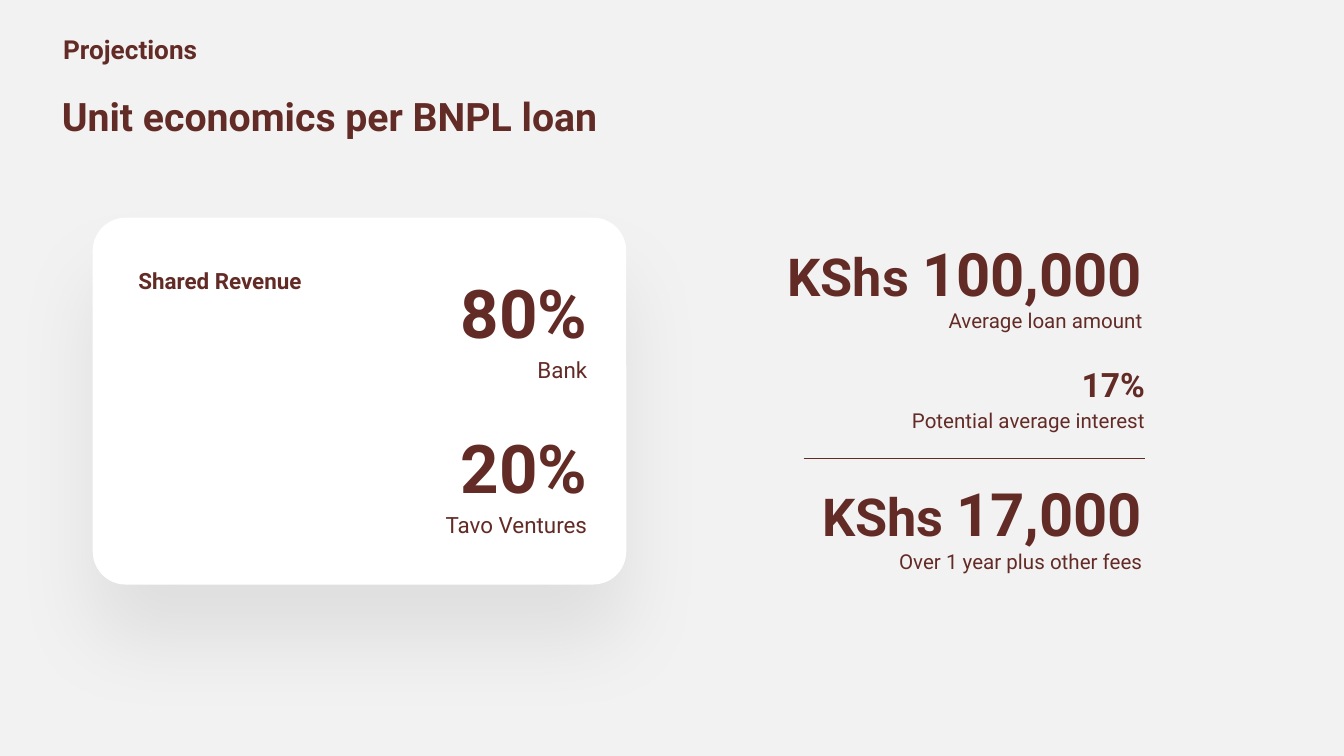
from lxml.etree import SubElement
from pptx import Presentation
from pptx.dml.color import RGBColor
from pptx.enum.shapes import MSO_CONNECTOR, MSO_SHAPE
from pptx.enum.text import MSO_ANCHOR, MSO_AUTO_SIZE, PP_ALIGN
from pptx.oxml.ns import qn
from pptx.util import Inches, Pt

COLORS = {"background": "F2F2F2", "text": "632B26", "card": "FFFFFF", "shadow": "000000"}
FONT = "Roboto"
TITLE_ONLY = 5


def color(name):
    return RGBColor.from_string(COLORS[name])


def write_text(box, lines, align=PP_ALIGN.LEFT, margins=(0.04, 0.04),
               line_spacing=1.0, gaps=None):
    """Each line is a list of (text, size, bold); gaps maps line index to space before."""
    frame = box.text_frame
    frame.word_wrap = True
    frame.auto_size = MSO_AUTO_SIZE.NONE
    frame.vertical_anchor = MSO_ANCHOR.TOP
    frame.margin_left = frame.margin_right = Inches(margins[0])
    frame.margin_top = frame.margin_bottom = Inches(margins[1])
    for index, line in enumerate(lines):
        para = frame.add_paragraph() if index else frame.paragraphs[0]
        para.alignment = align
        para.line_spacing = line_spacing
        para.space_before = Pt((gaps or {}).get(index, 0))
        for text, size, bold in line:
            span = para.add_run()
            span.text = text
            span.font.name = FONT
            span.font.size = Pt(size)
            span.font.bold = bold
            span.font.color.rgb = color("text")


def add_text(page, position, lines, **formatting):
    box = page.shapes.add_textbox(*map(Inches, position))
    write_text(box, lines, **formatting)


def add_title(page, position, text):
    title = page.shapes.title
    title.left, title.top, title.width, title.height = map(Inches, position)
    write_text(title, [[(text, 21, True)]])


def add_amount(page, top, amount, caption):
    add_text(page, (5.71, top, 2.89, 0.82),
             [[("KShs ", 28, True), (amount, 32, True)], [(caption, 11, False)]],
             align=PP_ALIGN.RIGHT, margins=(0.1, 0.05))


def add_card(page, position):
    card = page.shapes.add_shape(MSO_SHAPE.ROUNDED_RECTANGLE, *map(Inches, position))
    card.adjustments[0] = 0.09
    card.fill.solid()
    card.fill.fore_color.rgb = color("card")
    card.line.fill.background()
    # Soft shadow falling straight down
    card.shadow.inherit = False
    effects = card.element.spPr.find(qn("a:effectLst"))
    shadow = SubElement(effects, qn("a:outerShdw"), blurRad=str(Pt(45)), dist=str(Pt(30.7)),
                        dir="5400000", algn="t", rotWithShape="0")
    tint = SubElement(shadow, qn("a:srgbClr"), val=COLORS["shadow"])
    SubElement(tint, qn("a:alpha"), val="7000")


def add_rule(page, left, right, top):
    rule = page.shapes.add_connector(MSO_CONNECTOR.STRAIGHT, Inches(left), Inches(top),
                                     Inches(right), Inches(top))
    rule.line.color.rgb = color("text")
    rule.line.width = Pt(0.75)
    SubElement(rule.element.spPr, qn("a:effectLst"))


def main():
    deck = Presentation()
    # Widescreen, 16:9
    deck.slide_width = Inches(10)
    deck.slide_height = deck.slide_width * 9 // 16
    page = deck.slides.add_slide(deck.slide_layouts[TITLE_ONLY])
    page.background.fill.solid()
    page.background.fill.fore_color.rgb = color("background")

    # Headings
    add_title(page, (0.42, 0.65, 7.84, 0.43), "Unit economics per BNPL loan")
    add_text(page, (0.43, 0.21, 4.36, 0.31), [[("Projections", 14, True)]])

    # Shared revenue card
    add_card(page, (0.69, 1.62, 3.97, 2.73))
    add_text(page, (0.9, 1.9, 3.5, 2.15),
             [[("80%", 36, True)], [("Bank", 12, False)],
              [("20%", 36, True)], [("Tavo Ventures", 12, False)]],
             align=PP_ALIGN.RIGHT, margins=(0.03, 0.03), line_spacing=1.15, gaps={2: 17})
    add_text(page, (1.03, 1.99, 1.27, 0.4), [[("Shared Revenue", 12, True)]], margins=(0, 0))

    # Loan calculation
    add_amount(page, 1.71, "100,000", "Average loan amount")
    add_text(page, (6.59, 2.63, 1.96, 0.62),
             [[("17%", 18, True)], [("Potential average interest", 11, False)]],
             align=PP_ALIGN.RIGHT, margins=(0.03, 0.03), line_spacing=1.15)
    add_rule(page, 5.98, 8.52, 3.41)
    add_amount(page, 3.5, "17,000", "Over 1 year plus other fees")

    deck.save("out.pptx")


if __name__ == "__main__":
    main()
